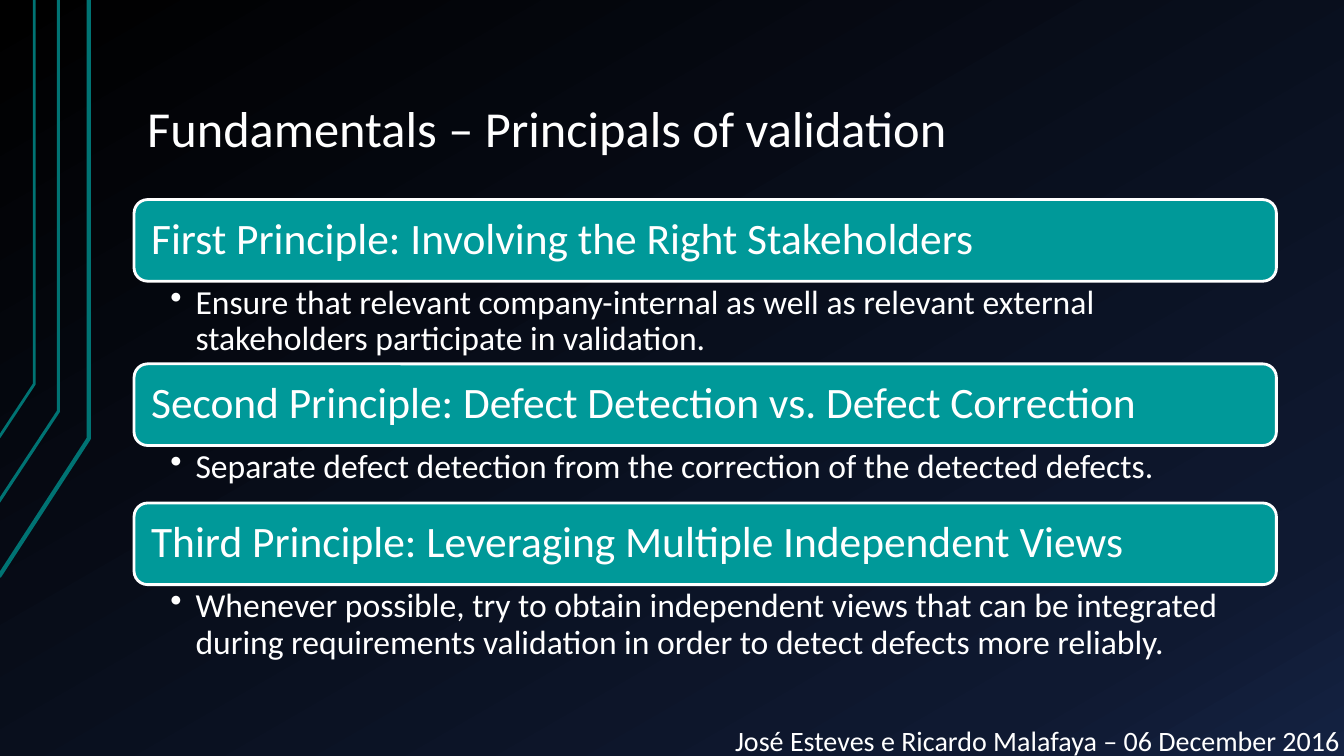
"""Build a slide on the three principles of validation."""
from copy import deepcopy

from lxml import etree
from pptx import Presentation
from pptx.dml.color import RGBColor
from pptx.enum.shapes import MSO_SHAPE
from pptx.enum.text import MSO_ANCHOR, PP_ALIGN
from pptx.oxml.ns import qn
from pptx.util import Inches, Pt

ROUNDED = MSO_SHAPE.ROUNDED_RECTANGLE
LEFT, CENTER = PP_ALIGN.LEFT, PP_ALIGN.CENTER
TOP, MIDDLE, BOTTOM = MSO_ANCHOR.TOP, MSO_ANCHOR.MIDDLE, MSO_ANCHOR.BOTTOM

BAR_LEFT, BAR_WIDTH, BAR_HEIGHT = 1.33, 11.33, 0.81
PRINCIPLES_TOP = 1.98
PRINCIPLES = [
    ("First Principle: Involving the Right Stakeholders",
     "Ensure that relevant company-internal as well as relevant external "
     "stakeholders participate in validation.", 0.82),
    ("Second Principle: Defect Detection vs. Defect Correction",
     "Separate defect detection from the correction of the detected defects.", 0.57),
    ("Third Principle: Leveraging Multiple Independent Views",
     "Whenever possible, try to obtain independent views that can be integrated "
     "during requirements validation in order to detect defects more reliably.", 0.82),
]
CIRCUIT_LINES = [
    ([(-0.01, 5.72), (0.88, 4.35), (0.88, 0)], 3),
    ([(-0.02, 4.99), (0.58, 4.08), (0.58, 0)], 2.25),
    ([(-0.01, 4.34), (0.34, 3.81), (0.34, 0)], 2),
]
BACKGROUND_STOPS = [(0, "000000"), (0.85, "0F1931"), (1, "142242")]


def color(code):
    return RGBColor.from_string(code)


def write(shape, text, size, align=LEFT, anchor=TOP,
          insets=(0.13, 0.07, 0.13, 0.07), bullet=False):
    frame = shape.text_frame
    frame.word_wrap = True
    frame.vertical_anchor = anchor
    (frame.margin_left, frame.margin_top,
     frame.margin_right, frame.margin_bottom) = map(Inches, insets)
    para = frame.paragraphs[0]
    para.alignment = align
    para.line_spacing = 0.9
    if bullet:
        properties = para._p.get_or_add_pPr()
        properties.set("marL", str(Inches(0.25)))
        properties.set("indent", str(Inches(-0.25)))
        etree.SubElement(properties, qn("a:buChar"), char="•")
    span = para.add_run()
    span.text = text
    span.font.name = Slide.font
    span.font.size = Pt(size)
    span.font.color.rgb = color(Slide.ink)


class Slide:
    font, ink, accent, trace = "Calibri", "FFFFFF", "009999", "007373"

    def __init__(self, deck):
        self.page = deck.slides.add_slide(deck.slide_layouts[5])

    def background(self, stops, angle):
        fill = self.page.background.fill
        fill.gradient()
        fill.gradient_angle = angle
        first = self.page.element.find(".//" + qn("a:gs"))
        first.addnext(deepcopy(first))
        for stop, (position, code) in zip(fill.gradient_stops, stops):
            stop.position = position
            stop.color.rgb = color(code)

    def circuit_line(self, points, width):
        corners = [(Inches(x), Inches(y)) for x, y in points]
        builder = self.page.shapes.build_freeform(*corners[0])
        builder.add_line_segments(corners[1:], close=False)
        outline = builder.convert_to_shape()
        outline.shadow.inherit = False
        outline.fill.background()
        outline.line.color.rgb = color(self.trace)
        outline.line.width = Pt(width)

    def title(self, text, *place):
        title = self.page.shapes.title
        title.left, title.top, title.width, title.height = map(Inches, place)
        write(title, text, 36, anchor=BOTTOM)

    def text(self, text, *place, **style):
        box = self.page.shapes.add_textbox(*map(Inches, place))
        write(box, text, **style)

    def bar(self, text, *place):
        bar = self.page.shapes.add_shape(ROUNDED, *map(Inches, place))
        bar.shadow.inherit = False
        bar.fill.solid()
        bar.fill.fore_color.rgb = color(self.accent)
        bar.line.color.rgb = color(self.ink)
        bar.line.width = Pt(2)
        write(bar, text, 31, anchor=MIDDLE)


def main():
    deck = Presentation()
    deck.slide_width, deck.slide_height = Inches(13.33), Inches(7.5)
    slide = Slide(deck)
    slide.background(BACKGROUND_STOPS, 300)
    for points, width in CIRCUIT_LINES:
        slide.circuit_line(points, width)
    slide.title("Fundamentals – Principals of validation", 1.33, 0.3, 11.33, 1.34)
    slide.text("José Esteves e Ricardo Malafaya – 06 December 2016",
               7.14, 7.21, 6.3, 0.38, size=20, align=CENTER, anchor=BOTTOM)
    top = PRINCIPLES_TOP
    for heading, detail, detail_height in PRINCIPLES:
        slide.bar(heading, BAR_LEFT, top, BAR_WIDTH, BAR_HEIGHT)
        top += BAR_HEIGHT
        slide.text(detail, BAR_LEFT, top, BAR_WIDTH, detail_height,
                   size=24, insets=(0.36, 0.04, 0.24, 0.04), bullet=True)
        top += detail_height
    deck.save("out.pptx")


if __name__ == "__main__":
    main()
